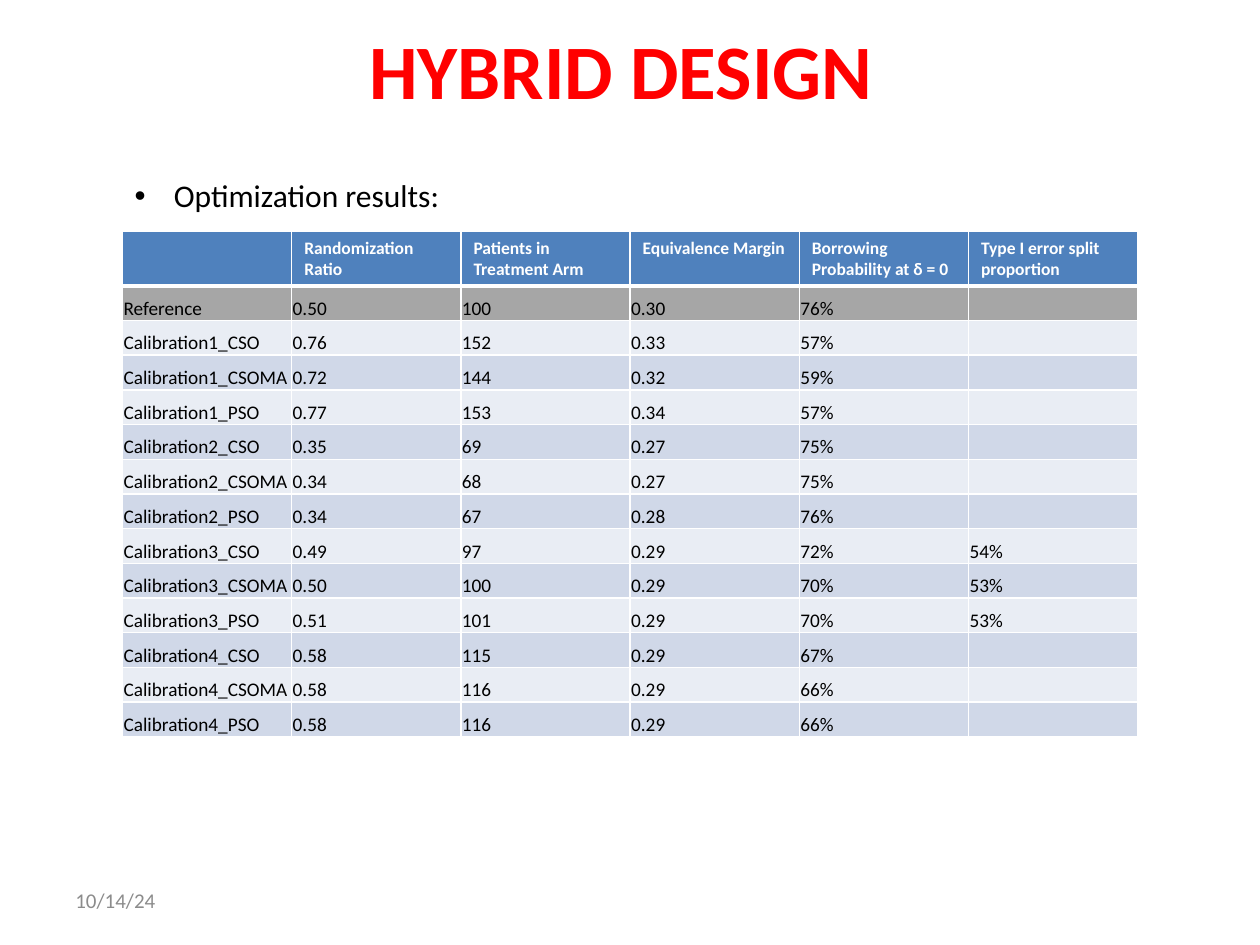
from dataclasses import dataclass

from lxml import etree
from pptx import Presentation
from pptx.dml import color
from pptx.enum import text
from pptx.oxml import ns
from pptx.util import Cm, Pt


@dataclass(frozen=True)
class Theme:
    font: str = "Calibri"
    red: str = "FF0000"
    black: str = "000000"
    white: str = "FFFFFF"
    muted: str = "8C8C8C"
    blue: str = "4F81BD"
    gray: str = "A6A6A6"
    light: str = "E9EDF4"
    dark: str = "D0D8E8"
    title: int = 44
    list: int = 18
    date: int = 12
    head: int = 10
    cell: int = 11


@dataclass(frozen=True)
class Box:
    left: float
    top: float
    width: float
    height: float

    def place(self, shape) -> None:
        shape.left, shape.top = Cm(self.left), Cm(self.top)
        shape.width, shape.height = Cm(self.width), Cm(self.height)


@dataclass(frozen=True)
class Entry:
    name: str
    ratio: str
    count: str
    margin: str
    borrow: str
    split: str = ""

    def cells(self) -> tuple[str, ...]:
        return (self.name, self.ratio, self.count, self.margin, self.borrow, self.split)


THEME = Theme()
HEADS = Entry("", "Randomization Ratio", "Patients in Treatment Arm", "Equivalence Margin",
              "Borrowing Probability at δ = 0", "Type I error split proportion")
ROWS = [
    Entry("Reference", "0.50", "100", "0.30", "76%"),
    Entry("Calibration1_CSO", "0.76", "152", "0.33", "57%"),
    Entry("Calibration1_CSOMA", "0.72", "144", "0.32", "59%"),
    Entry("Calibration1_PSO", "0.77", "153", "0.34", "57%"),
    Entry("Calibration2_CSO", "0.35", "69", "0.27", "75%"),
    Entry("Calibration2_CSOMA", "0.34", "68", "0.27", "75%"),
    Entry("Calibration2_PSO", "0.34", "67", "0.28", "76%"),
    Entry("Calibration3_CSO", "0.49", "97", "0.29", "72%", "54%"),
    Entry("Calibration3_CSOMA", "0.50", "100", "0.29", "70%", "53%"),
    Entry("Calibration3_PSO", "0.51", "101", "0.29", "70%", "53%"),
    Entry("Calibration4_CSO", "0.58", "115", "0.29", "67%"),
    Entry("Calibration4_CSOMA", "0.58", "116", "0.29", "66%"),
    Entry("Calibration4_PSO", "0.58", "116", "0.29", "66%"),
]


def write(frame, words: str, *, size: int, ink: str, bold: bool = False, align=None):
    para = frame.paragraphs[0]
    para.alignment = align
    if words:
        run = para.add_run()
        run.text = words
        font = run.font
        font.name, font.size, font.bold = THEME.font, Pt(size), bold
        font.color.rgb = color.RGBColor.from_string(ink)
    else:
        para._p.get_or_add_endParaRPr().set("sz", str(size * 100))
    return para


def edge(cell, side: str, width: float) -> None:
    line = etree.SubElement(cell._tc.get_or_add_tcPr(), ns.qn(f"a:ln{side}"), w=str(Pt(width)))
    fill = etree.SubElement(line, ns.qn("a:solidFill"))
    etree.SubElement(fill, ns.qn("a:srgbClr"), val=THEME.white)


def shade(row: int) -> str:
    if row < 2:
        return (THEME.blue, THEME.gray)[row]
    return (THEME.light, THEME.dark)[row % 2]


def draw_cell(cell, words: str, row: int) -> None:
    for side in "LRTB":
        thick = (row, side) in ((0, "B"), (1, "T"))
        edge(cell, side, 3 if thick else 1)
    cell.fill.solid()
    cell.fill.fore_color.rgb = color.RGBColor.from_string(shade(row))
    if row == 0:
        write(cell.text_frame, words, size=THEME.head, ink=THEME.white, bold=True)
        return
    cell.margin_left = cell.margin_right = cell.margin_top = Cm(0.02)
    cell.margin_bottom = 0
    cell.vertical_anchor = text.MSO_ANCHOR.BOTTOM
    write(cell.text_frame, words, size=THEME.cell, ink=THEME.black)


def draw_table(slide, box: Box, rows: list[Entry]) -> None:
    cols = len(rows[0].cells())
    frame = slide.shapes.add_table(len(rows), cols, 0, 0, Cm(box.width), Cm(box.height))
    table = frame.table
    for col in table.columns:
        col.width = Cm(box.width / cols)
    for row, entry in enumerate(rows):
        table.rows[row].height = Cm(0.7)
        for col, words in enumerate(entry.cells()):
            draw_cell(table.cell(row, col), words, row)
    box.place(frame)


def draw_title(slide) -> None:
    title = slide.shapes.title
    Box(1.75, 0, 21.9, 2.77).place(title)
    title.text_frame.vertical_anchor = text.MSO_ANCHOR.MIDDLE
    write(title.text_frame, "HYBRID DESIGN ", size=THEME.title, ink=THEME.red,
          bold=True, align=text.PP_ALIGN.CENTER)


def draw_list(slide) -> None:
    body = slide.placeholders[1]
    Box(2.46, 3.43, 14.05, 1.02).place(body)
    body.text_frame.auto_size = text.MSO_AUTO_SIZE.SHAPE_TO_FIT_TEXT
    para = write(body.text_frame, "Optimization results:", size=THEME.list, ink=THEME.black)
    para.space_before = Pt(0)
    props = para._p.get_or_add_pPr()
    props.set("marL", str(Cm(0.79)))
    props.set("indent", str(-Cm(0.79)))
    etree.SubElement(props, ns.qn("a:buFont"), typeface="Arial")
    etree.SubElement(props, ns.qn("a:buChar"), char="•")


def draw_date(slide) -> None:
    date = slide.shapes.add_textbox(0, 0, 0, 0)
    Box(1.27, 17.65, 5.93, 1.01).place(date)
    date.text_frame.word_wrap = True
    date.text_frame.vertical_anchor = text.MSO_ANCHOR.MIDDLE
    write(date.text_frame, "10/14/24", size=THEME.date, ink=THEME.muted)


def main() -> None:
    deck = Presentation()
    deck.slide_width, deck.slide_height = Cm(25.4), Cm(19.05)
    slide = deck.slides.add_slide(deck.slide_layouts[1])
    draw_title(slide)
    draw_date(slide)
    draw_table(slide, Box(2.47, 4.66, 20.47, 10.19), [HEADS, *ROWS])
    draw_list(slide)
    deck.save("out.pptx")


if __name__ == "__main__":
    main()
